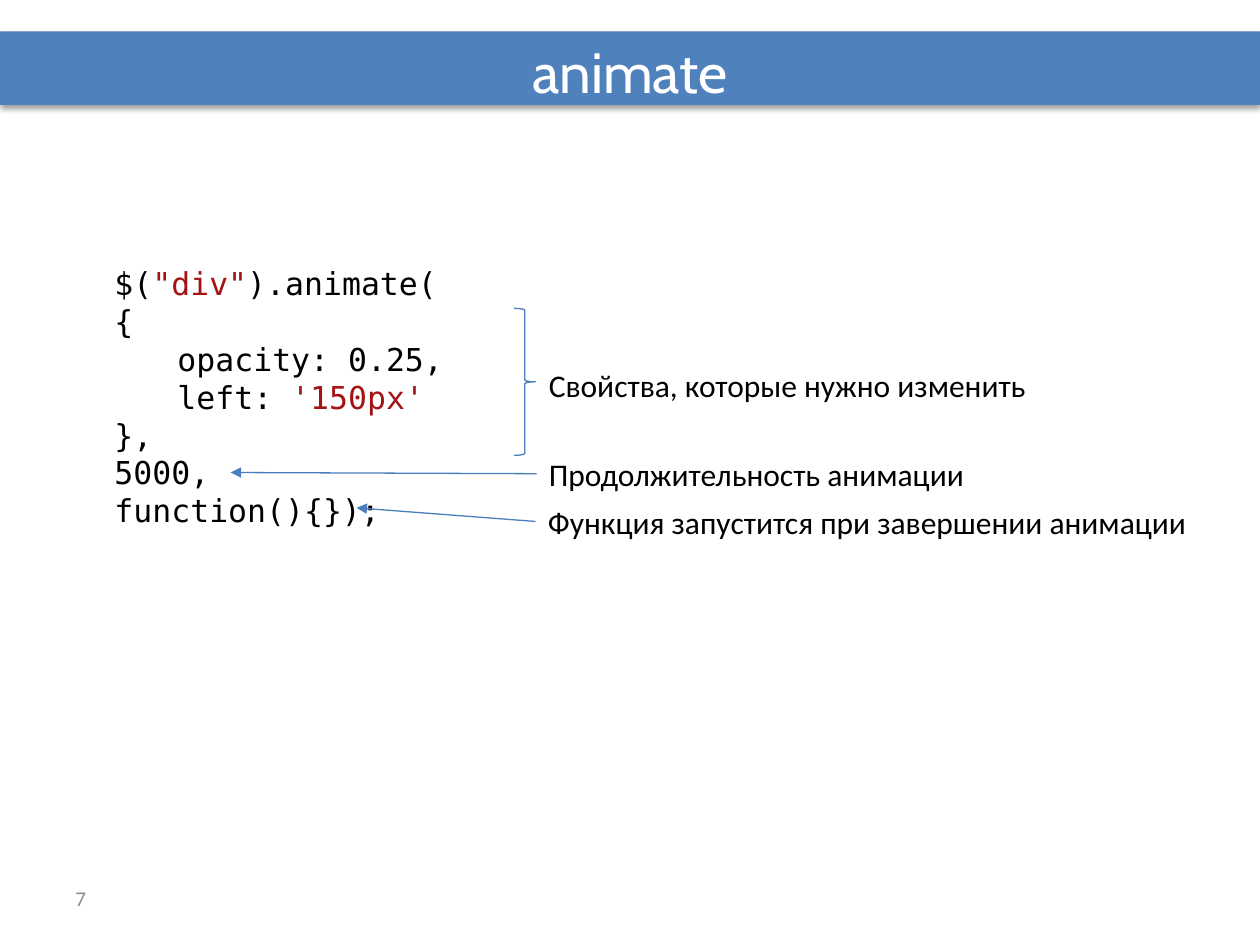
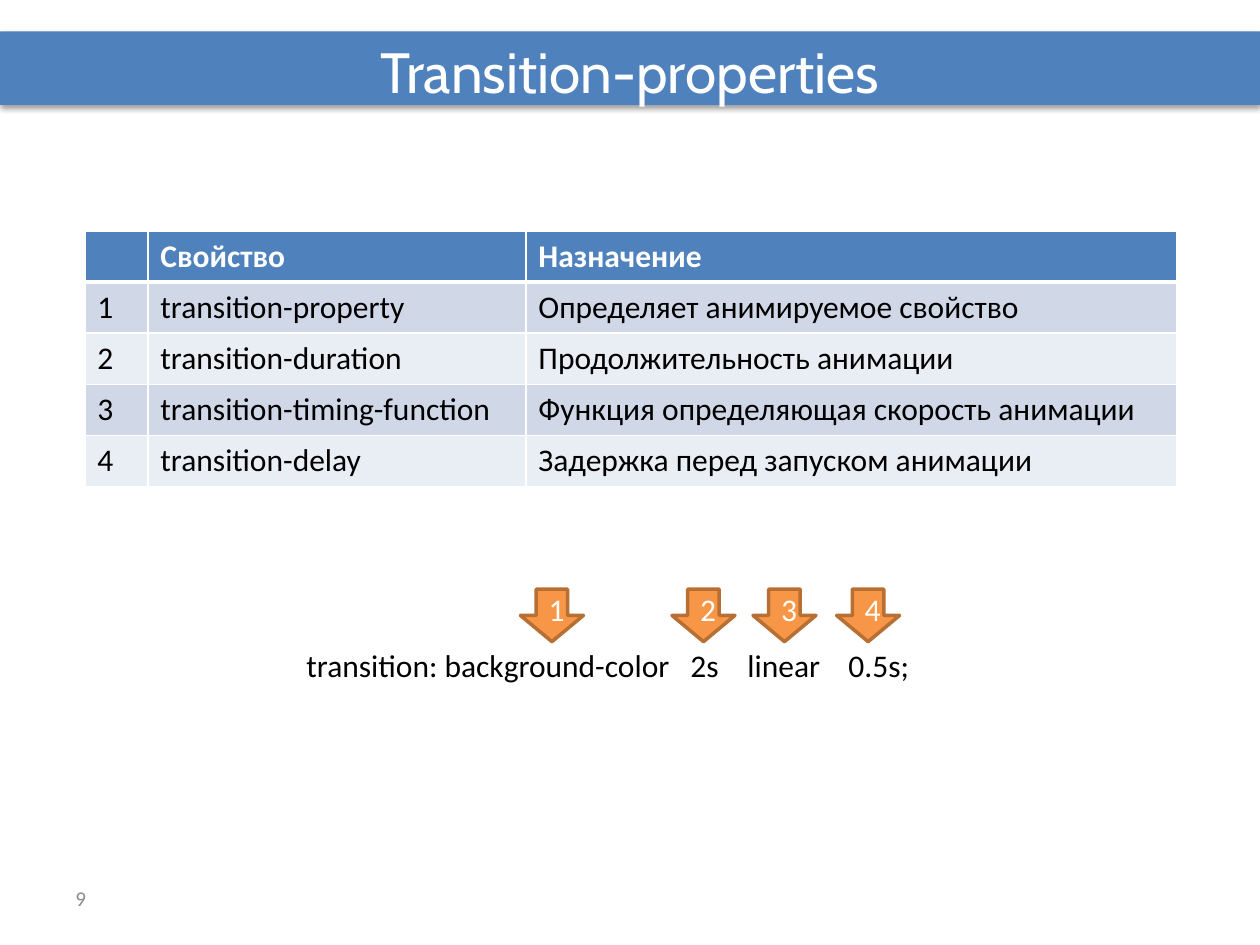
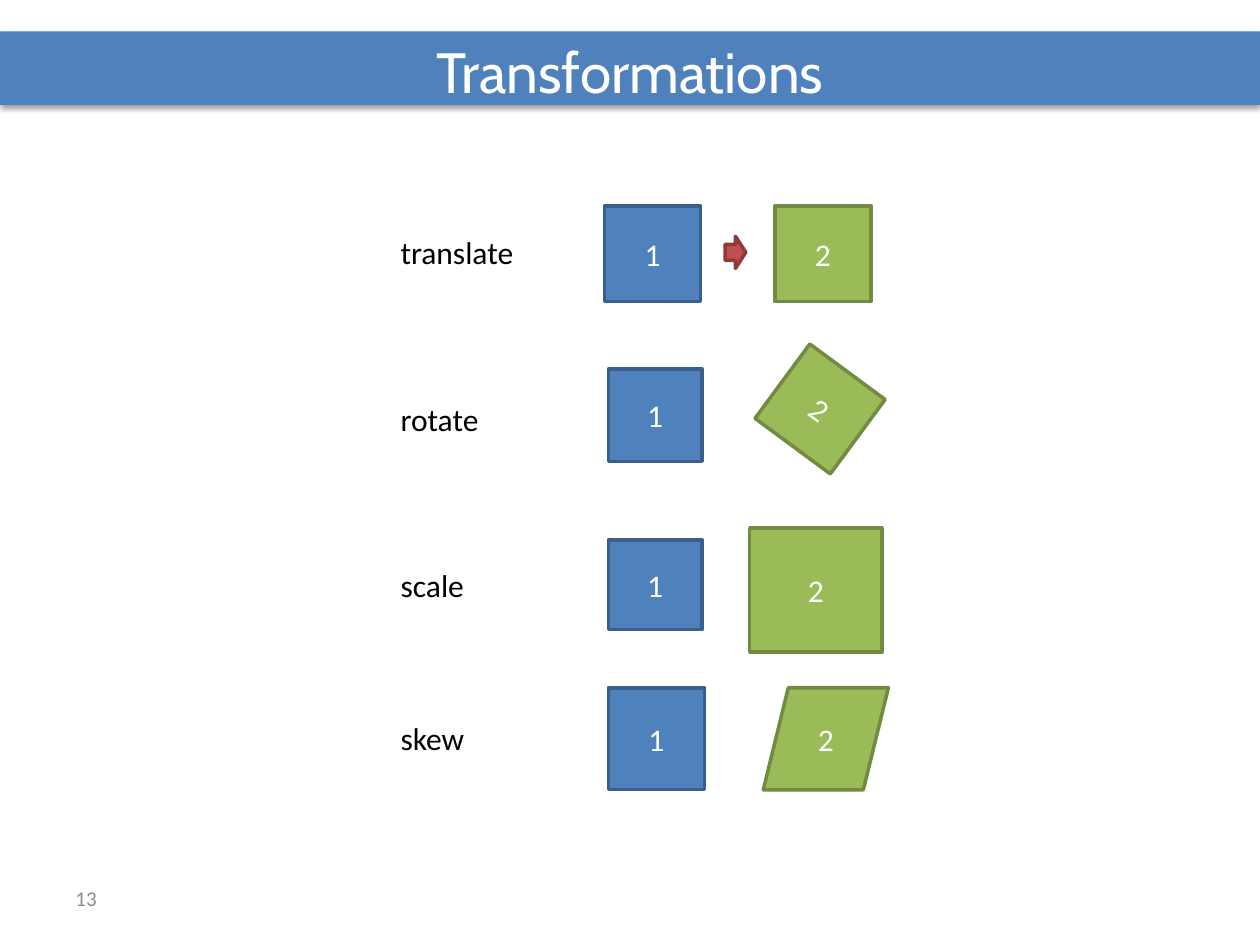
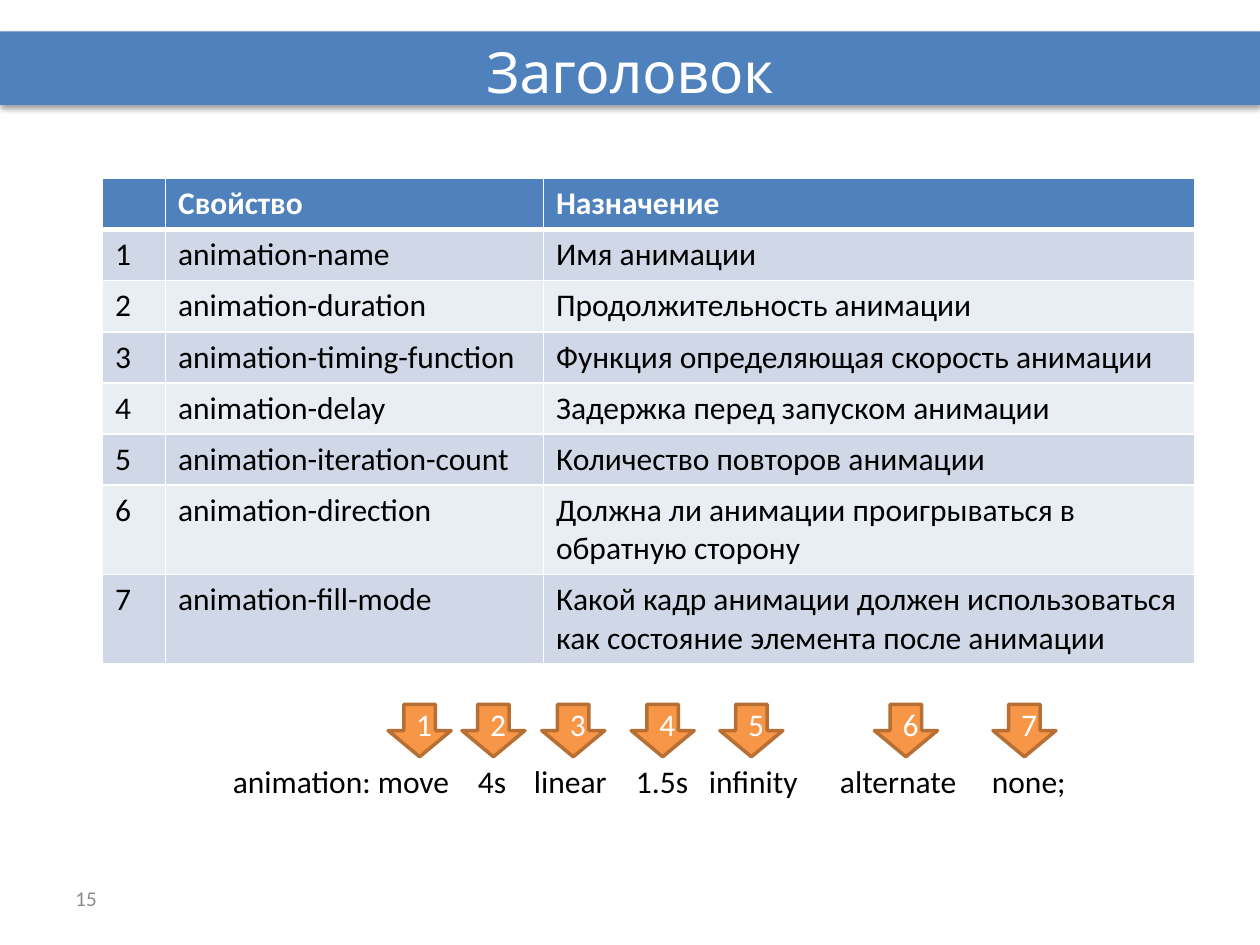
"""Build four slides on CSS and script animation."""
import lxml.etree
import pptx
import pptx.dml.color
import pptx.enum.shapes
import pptx.enum.text
import pptx.oxml.ns
import pptx.util

Pt = pptx.util.Pt
SHAPE = pptx.enum.shapes.MSO_SHAPE
ALIGN = pptx.enum.text.PP_ALIGN
ANCHOR = pptx.enum.text.MSO_ANCHOR
FIT = pptx.enum.text.MSO_AUTO_SIZE

BLUE, GREEN, RED, ORANGE = "4F81BD", "9BBB59", "C0504D", "F79646"
EDGES = {BLUE: "3A5F8C", GREEN: "738A42", RED: "8E3B39", ORANGE: "B76F34"}
BLACK, WHITE, GREY, QUOTE, THIN = "000000", "FFFFFF", "8C8C8C", "A31515", "4B7EBC"
STRIPES = ("D0D8E8", "E9EDF4")

BODY = {"name": "Calibri", "size": Pt(18)}
CODE = {"name": "DejaVu Sans Mono", "size": Pt(18)}
NUMBER = {"name": "Calibri", "size": Pt(12)}
TITLE = {"name": "Cabin", "size": Pt(32.4)}
MIDDLE = {"vertical_anchor": ANCHOR.MIDDLE, "word_wrap": True, "auto_size": FIT.NONE}
WRAPPED = {"word_wrap": True}
LABEL = {"word_wrap": False, "auto_size": FIT.SHAPE_TO_FIT_TEXT}

BAND = (0, 18, 720, 42)
TITLE_BOX = (36, 18, 648, 44.5)
NUMBER_BOX = (36, 499, 168, 28.8)
LINE_HEIGHT = 29.1
COLUMNS = (36, 216, 372)
HEADER = ("", "Свойство", "Назначение")
ARROW = (36, 30)

ANIMATE = {
    "title": "animate",
    "number": 7,
    "code_box": (58.3, 147.6, 267, 360),
    "code": [
        [("$(", BLACK), ('"div"', QUOTE), (").animate(", BLACK)],
        [("{", BLACK)],
        [("\topacity: 0.25,", BLACK)],
        [("\tleft: ", BLACK), ("'150px'", QUOTE)],
        [("},", BLACK)],
        [("5000,", BLACK)],
        [("function(){});", BLACK)],
    ],
    "brace": (293.8, 176.2, 12.2, 84),
    "remarks": [
        ("Свойства, которые нужно изменить", (306.5, 205.5, 290, LINE_HEIGHT)),
        ("Продолжительность анимации", (306.5, 256.5, 254, LINE_HEIGHT)),
        ("Функция запустится при завершении анимации", (306, 283.9, 384, LINE_HEIGHT)),
    ],
    "pointers": [(306.7, 270.7, 131.8, 270), (306, 298, 203.8, 290.2)],
}

TRANSITION = {
    "title": "Transition-properties",
    "number": 9,
    "table_at": (48.5, 132),
    "properties": [
        ("transition-property", "Определяет анимируемое свойство"),
        ("transition-duration", "Продолжительность анимации"),
        ("transition-timing-function", "Функция определяющая скорость анимации"),
        ("transition-delay", "Задержка перед запуском анимации"),
    ],
    "example": ["transition: background-color", "2s", "linear", "0.5s;"],
    "example_box": (168, 365.8, 363.6, LINE_HEIGHT),
    "stops": (219.4, 252, 309.7),
    "arrow_lefts": (297.4, 384, 430.3, 478.1),
    "arrow_top": 336.7,
}

TRANSFORMS = {
    "title": "Transformations",
    "number": 13,
    "label_left": 221.8,
    "move": (414.4, 135, 11.8, 18.4),
    "rows": [
        ("translate", 129.6, 80, (345.4, 117.8, 55, 54.6),
         SHAPE.RECTANGLE, (442.8, 117.8, 55, 54.6), 0),
        ("rotate", 225, 60, (347.6, 210.8, 53.5, 52.8),
         SHAPE.RECTANGLE, (441.9, 207.3, 53.5, 52.8), 36.4),
        ("scale", 320, 51, (347.6, 308.5, 53.5, 51.2),
         SHAPE.RECTANGLE, (428.4, 301.9, 75.6, 70.8), 0),
        ("skew", 407.5, 51, (347.6, 393, 55, 58.3),
         SHAPE.FLOWCHART_DATA, (436.2, 393, 71.5, 58.3), 0),
    ],
}

ANIMATION = {
    "title": "Заголовок",
    "number": 15,
    "table_at": (58.6, 102),
    "properties": [
        ("animation-name", "Имя анимации"),
        ("animation-duration", "Продолжительность анимации"),
        ("animation-timing-function", "Функция определяющая скорость анимации"),
        ("animation-delay", "Задержка перед запуском анимации"),
        ("animation-iteration-count", "Количество повторов анимации"),
        ("animation-direction", "Должна ли анимации проигрываться в обратную сторону"),
        ("animation-fill-mode",
         "Какой кадр анимации должен использоваться как состояние элемента после анимации"),
    ],
    "example": ["animation: move", "4s", "linear", "1.5s", "infinity", "alternate", "none;"],
    "example_box": (126, 431.9, 497.5, LINE_HEIGHT),
    "stops": (140, 172, 230.3, 272, 346.9, 433.7),
    "arrow_lefts": (221.8, 264, 309.6, 360.7, 411.4, 499.7, 567.4),
    "arrow_top": 402.5,
}


def rgb(value):
    """Turn a hex string into a colour."""
    return pptx.dml.color.RGBColor.from_string(value)


def points(values):
    """Turn numbers into lengths."""
    return [Pt(value) for value in values]


def assign(target, values):
    """Set every named attribute on the target."""
    for name, value in values.items():
        setattr(target, name, value)


def child(parent, tag, **attributes):
    """Append an XML element with the given attributes."""
    texts = {name: str(value) for name, value in attributes.items()}
    return lxml.etree.SubElement(parent, pptx.oxml.ns.qn(tag), texts)


def write(paragraph, pieces, font, align=None):
    """Write coloured pieces of text into a paragraph."""
    paragraph.alignment = align
    for words, colour in pieces:
        run = paragraph.add_run()
        run.text = words
        assign(run.font, font)
        run.font.color.rgb = rgb(colour)


def add_text(slide, box, lines, font, frame_format):
    """Add a text box made of lines of coloured pieces."""
    frame = slide.shapes.add_textbox(*points(box)).text_frame
    assign(frame, frame_format)
    for index, pieces in enumerate(lines):
        write(frame.add_paragraph() if index else frame.paragraphs[0], pieces, font)
    return frame


def add_figure(slide, kind, box, fill, words="", rotation=0):
    """Add a filled preset shape with an optional centred label."""
    figure = slide.shapes.add_shape(kind, *points(box))
    figure.shadow.inherit = False
    figure.rotation = rotation
    figure.fill.solid()
    figure.fill.fore_color.rgb = rgb(fill)
    figure.line.color.rgb = rgb(EDGES[fill])
    figure.line.width = Pt(2)
    if words:
        write(figure.text_frame.paragraphs[0], [(words, WHITE)], BODY, ALIGN.CENTER)
    return figure


def start_slide(deck, content):
    """Add a slide with its band, title and number."""
    slide = deck.slides.add_slide(deck.slide_layouts[5])
    band = add_figure(slide, SHAPE.RECTANGLE, BAND, BLUE)
    band.line.fill.background()
    effects = band._element.spPr.find(pptx.oxml.ns.qn("a:effectLst"))
    shadow = child(effects, "a:outerShdw", blurRad=Pt(3.1), dist=Pt(1.6),
                   dir=5400000, rotWithShape=0)
    child(child(shadow, "a:srgbClr", val=BLACK), "a:alpha", val=38000)

    title = slide.shapes.title
    assign(title, dict(zip(("left", "top", "width", "height"), points(TITLE_BOX))))
    assign(title.text_frame, MIDDLE)
    write(title.text_frame.paragraphs[0], [(content["title"], WHITE)], TITLE, ALIGN.CENTER)
    title._element.addprevious(band._element)
    add_text(slide, NUMBER_BOX, [[(str(content["number"]), GREY)]], NUMBER, MIDDLE)
    return slide


def add_pointer(slide, ends):
    """Add a thin line with an arrowhead at its end."""
    pointer = slide.shapes.add_connector(
        pptx.enum.shapes.MSO_CONNECTOR.STRAIGHT, *points(ends))
    pointer.line.color.rgb = rgb(THIN)
    pointer.line.width = Pt(0.75)
    child(pointer.line._get_or_add_ln(), "a:tailEnd", type="triangle")
    child(pointer._element.spPr, "a:effectLst")


def add_animate(deck, content):
    """Add the slide that explains a call of animate."""
    slide = start_slide(deck, content)
    add_text(slide, content["code_box"], content["code"], CODE, WRAPPED)
    brace = add_figure(slide, SHAPE.RIGHT_BRACE, content["brace"], BLUE)
    brace.fill.background()
    brace.line.color.rgb = rgb(THIN)
    brace.line.width = Pt(0.75)
    for words, box in content["remarks"]:
        add_text(slide, box, [[(words, BLACK)]], BODY, LABEL)
    for ends in content["pointers"]:
        add_pointer(slide, ends)


def format_cell(cell, words, row):
    """Write, border and fill one table cell."""
    if words:
        font = BODY | {"bold": row == 0}
        write(cell.text_frame.paragraphs[0], [(words, BLACK if row else WHITE)], font)
    widths = {"L": 1, "R": 1, "T": 3 if row == 1 else 1, "B": 1 if row else 3}
    for side, width in widths.items():
        border = child(cell._tc.get_or_add_tcPr(), f"a:ln{side}", w=Pt(width))
        child(child(border, "a:solidFill"), "a:srgbClr", val=WHITE)
    cell.fill.solid()
    cell.fill.fore_color.rgb = rgb(STRIPES[(row - 1) % 2] if row else BLUE)


def add_properties(deck, content):
    """Add a slide with a property table and a numbered example."""
    slide = start_slide(deck, content)
    rows = [HEADER] + [(str(number), *texts)
                       for number, texts in enumerate(content["properties"], 1)]
    size = (sum(COLUMNS), LINE_HEIGHT * len(rows))
    table = slide.shapes.add_table(
        len(rows), len(COLUMNS), *points(content["table_at"] + size)).table
    for column, width in zip(table.columns, COLUMNS):
        column.width = Pt(width)
    for row, texts in enumerate(rows):
        for column, words in enumerate(texts):
            format_cell(table.cell(row, column), words, row)

    example = add_text(slide, content["example_box"],
                       [[("\t".join(content["example"]), BLACK)]], BODY, WRAPPED)
    stops = child(example.paragraphs[0]._p.get_or_add_pPr(), "a:tabLst")
    for stop in content["stops"]:
        child(stops, "a:tab", pos=Pt(stop), algn="l")
    for number, left in enumerate(content["arrow_lefts"], 1):
        add_figure(slide, SHAPE.DOWN_ARROW, (left, content["arrow_top"], *ARROW),
                   ORANGE, str(number))


def add_transforms(deck, content):
    """Add the slide that shows boxes before and after each transform."""
    slide = start_slide(deck, content)
    for name, top, width, before, kind, after, rotation in content["rows"]:
        add_figure(slide, SHAPE.RECTANGLE, before, BLUE, "1")
        add_figure(slide, kind, after, GREEN, "2", rotation)
        add_text(slide, (content["label_left"], top, width, LINE_HEIGHT),
                 [[(name, BLACK)]], BODY, LABEL)
    add_figure(slide, SHAPE.RIGHT_ARROW, content["move"], RED)


def main():
    """Build and save the deck."""
    deck = pptx.Presentation()
    assign(deck, {"slide_width": Pt(720), "slide_height": Pt(540)})
    add_animate(deck, ANIMATE)
    add_properties(deck, TRANSITION)
    add_transforms(deck, TRANSFORMS)
    add_properties(deck, ANIMATION)
    deck.save("out.pptx")


if __name__ == "__main__":
    main()
